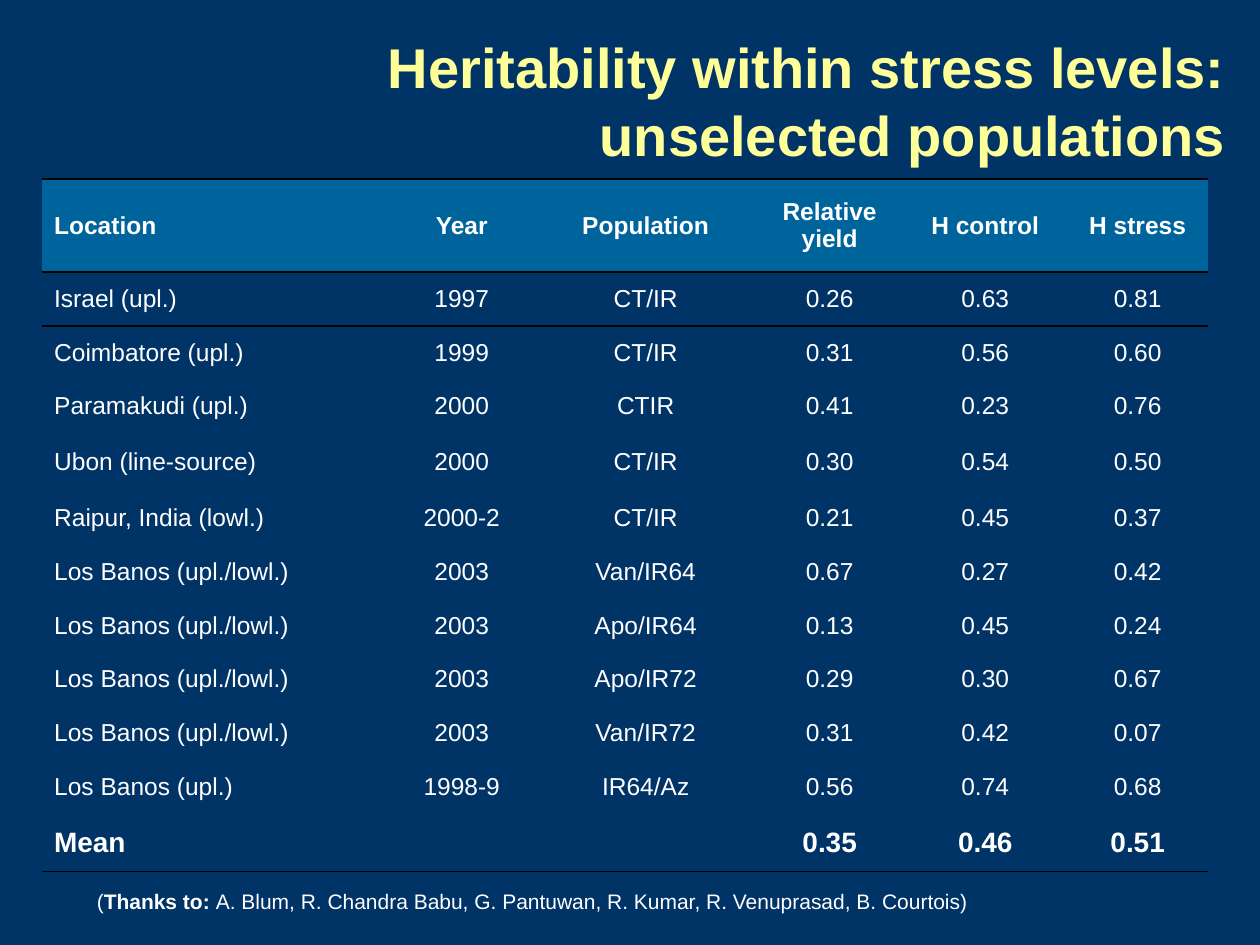
import pptx
import pptx.dml.color
import pptx.enum.text
import pptx.oxml
import pptx.oxml.ns
import pptx.util

Inches = pptx.util.Inches
RGBColor = pptx.dml.color.RGBColor
ALIGN = pptx.enum.text.PP_ALIGN
MIDDLE = pptx.enum.text.MSO_ANCHOR.MIDDLE

NAVY = RGBColor(0x00, 0x33, 0x66)
HEADER_BLUE = RGBColor(0x00, 0x64, 0x9C)
WHITE = RGBColor(0xFF, 0xFF, 0xFF)
YELLOW = RGBColor(0xFF, 0xFF, 0x99)
BLACK = RGBColor(0x00, 0x00, 0x00)
NO_GRID_STYLE = "{2D5ABB26-0587-4C30-8999-92F81FD0307C}"


def add_text(para, text, size=14, bold=False, color=WHITE, align=ALIGN.LEFT):
    para.alignment = align
    span = para.add_run()
    span.text = text
    span.font.name = "Arial"
    span.font.size = pptx.util.Pt(size)
    span.font.bold = bold
    span.font.color.rgb = color


def add_border(cell, side):
    width = pptx.util.Pt(0.96)
    cell._tc.get_or_add_tcPr().append(pptx.oxml.parse_xml(
        f'<a:{side} {pptx.oxml.ns.nsdecls("a")} w="{width}"><a:solidFill>'
        f'<a:srgbClr val="{BLACK}"/></a:solidFill></a:{side}>'))


deck = pptx.Presentation()
deck.slide_width = Inches(10)
deck.slide_height = Inches(7.5)
page = deck.slides.add_slide(deck.slide_layouts[5])
page.background.fill.solid()
page.background.fill.fore_color.rgb = NAVY

title = page.shapes.title
title.left, title.top = Inches(1.33), Inches(0.17)
title.width, title.height = Inches(8.5), Inches(1.25)
title.text_frame.word_wrap = True
title.text_frame.auto_size = pptx.enum.text.MSO_AUTO_SIZE.NONE
title.text_frame.vertical_anchor = MIDDLE
add_text(title.text_frame.paragraphs[0],
         "Heritability within stress levels: unselected populations",
         size=32, bold=True, color=YELLOW, align=ALIGN.RIGHT)

rows = [
    ("Location", "Year", "Population", "Relative yield", "H control", "H stress"),
    ("Israel (upl.)", "1997", "CT/IR", "0.26", "0.63", "0.81"),
    ("Coimbatore (upl.)", "1999", "CT/IR", "0.31", "0.56", "0.60"),
    ("Paramakudi (upl.)", "2000", "CTIR", "0.41", "0.23", "0.76"),
    ("Ubon (line-source)", "2000", "CT/IR", "0.30", "0.54", "0.50"),
    ("Raipur, India (lowl.)", "2000-2", "CT/IR", "0.21", "0.45", "0.37"),
    ("Los Banos (upl./lowl.)", "2003", "Van/IR64", "0.67", "0.27", "0.42"),
    ("Los Banos (upl./lowl.)", "2003", "Apo/IR64", "0.13", "0.45", "0.24"),
    ("Los Banos (upl./lowl.)", "2003", "Apo/IR72", "0.29", "0.30", "0.67"),
    ("Los Banos (upl./lowl.)", "2003", "Van/IR72", "0.31", "0.42", "0.07"),
    ("Los Banos (upl.)", "1998-9", "IR64/Az", "0.56", "0.74", "0.68"),
    ("Mean", "", "", "0.35", "0.46", "0.51"),
]
column_widths = [2.75, 1.17, 1.75, 1.17, 1.3, 1.12]
mean_row = len(rows) - 1
special_heights = {0: 0.74, 4: 0.46, mean_row: 0.46}
table_height = 5.5
plain_height = ((table_height - sum(special_heights.values()))
                / (len(rows) - len(special_heights)))

table = page.shapes.add_table(len(rows), len(column_widths), Inches(0.33), Inches(1.42),
                              Inches(sum(column_widths)), Inches(table_height)).table
table.first_row = False
table.horz_banding = False
table._tbl.tblPr.find(pptx.oxml.ns.qn("a:tableStyleId")).text = NO_GRID_STYLE
for column, width in zip(table.columns, column_widths):
    column.width = Inches(width)

for row_index, values in enumerate(rows):
    table.rows[row_index].height = Inches(special_heights.get(row_index, plain_height))
    for column_index, value in enumerate(values):
        cell = table.cell(row_index, column_index)
        cell.vertical_anchor = MIDDLE
        if row_index in (0, 1):
            add_border(cell, "lnT")
        if row_index in (0, mean_row):
            add_border(cell, "lnB")
        if row_index == 0:
            cell.fill.solid()
            cell.fill.fore_color.rgb = HEADER_BLUE
        else:
            cell.fill.background()
        if value:
            add_text(cell.text_frame.paragraphs[0], value,
                     size=16 if row_index == mean_row else 14,
                     bold=row_index in (0, mean_row),
                     align=ALIGN.CENTER if column_index else ALIGN.LEFT)

thanks_box = page.shapes.add_textbox(Inches(0.67), Inches(7), Inches(9.42), Inches(0.3))
thanks_box.width = Inches(9.3)
thanks_box.text_frame.word_wrap = True
thanks = thanks_box.text_frame.paragraphs[0]
add_text(thanks, "(", size=12)
add_text(thanks, "Thanks to: ", size=12, bold=True)
add_text(thanks, "A. Blum, R. Chandra Babu, G. Pantuwan, R. Kumar, R. Venuprasad, B. Courtois)",
         size=12)

deck.save("out.pptx")
